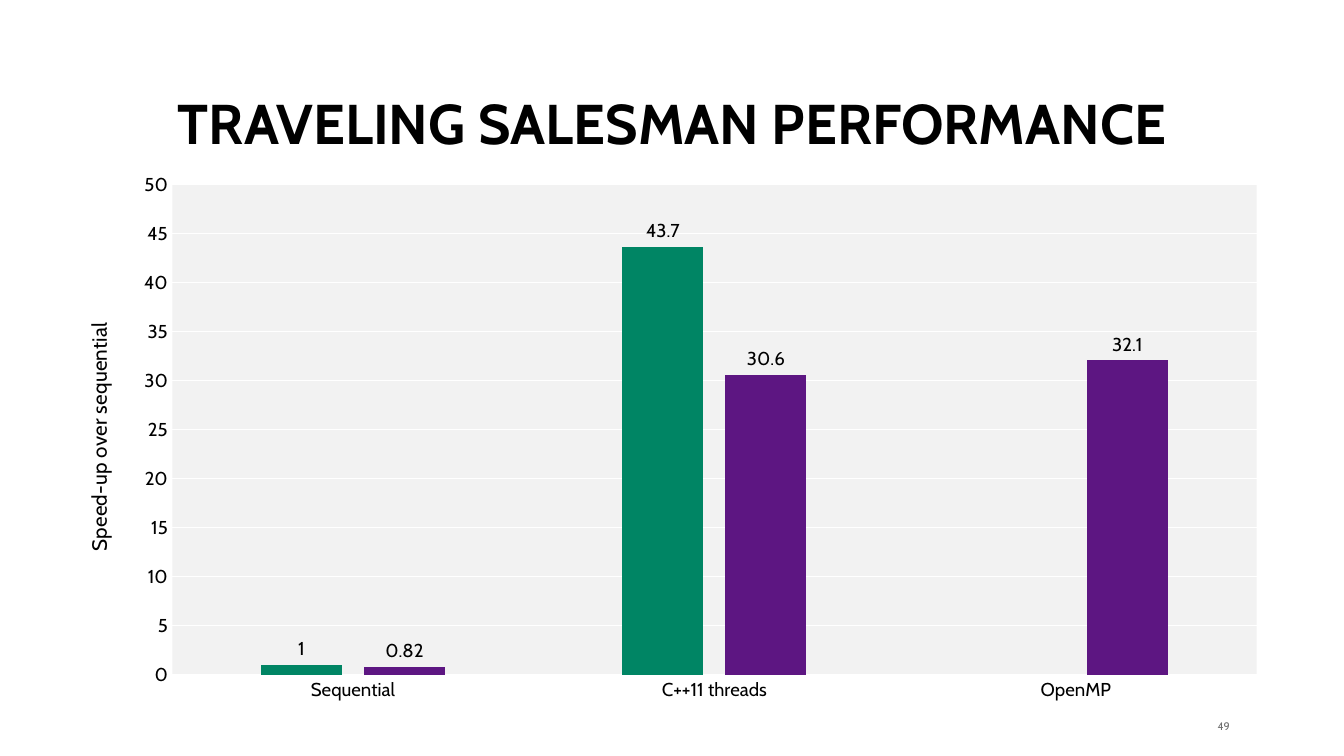
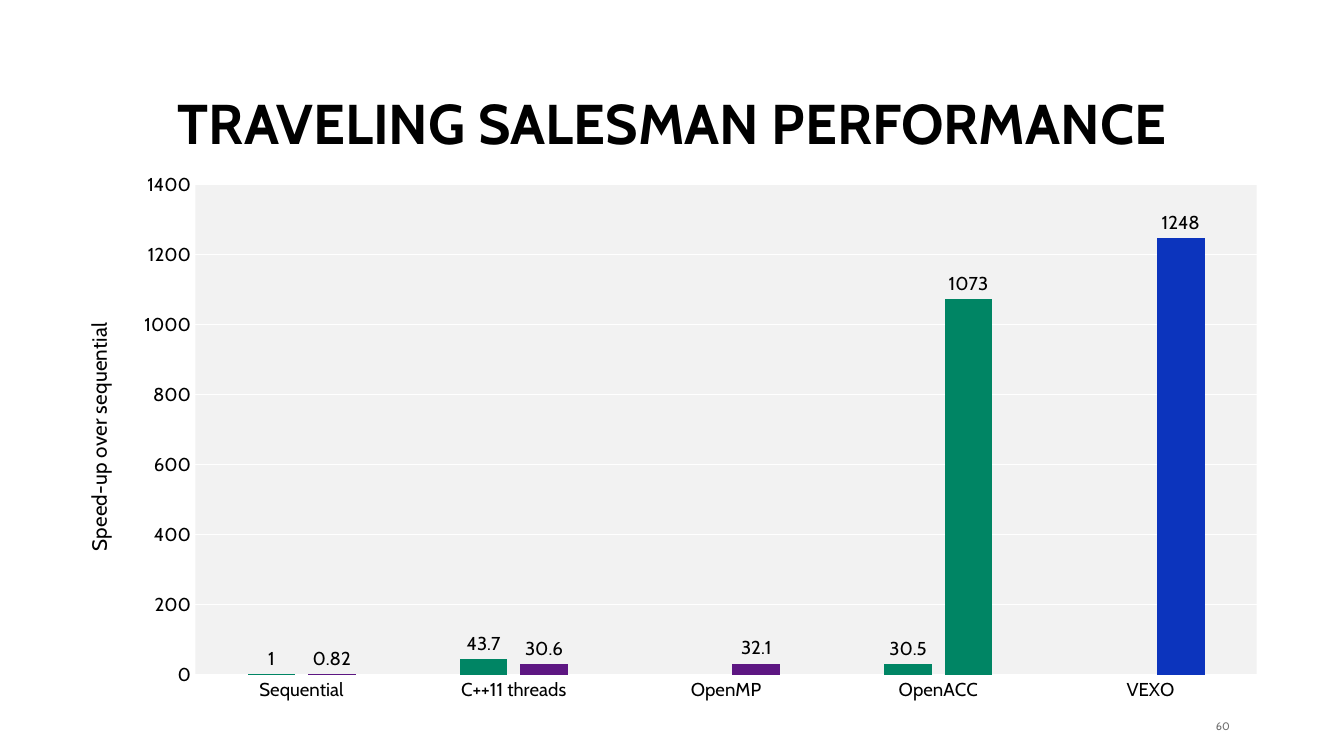
from dataclasses import dataclass, field

from lxml import etree
from pptx import Presentation
from pptx.chart.axis import ValueAxis
from pptx.chart.chart import Chart
from pptx.chart.data import CategoryChartData
from pptx.dml.color import RGBColor
from pptx.enum.chart import XL_CHART_TYPE, XL_LABEL_POSITION, XL_TICK_MARK
from pptx.enum.text import MSO_ANCHOR, MSO_AUTO_SIZE, PP_ALIGN
from pptx.oxml.ns import qn
from pptx.slide import Slide
from pptx.text.text import Font
from pptx.util import Inches, Pt

CLUSTERED = XL_CHART_TYPE.COLUMN_CLUSTERED
OUTSIDE_END = XL_LABEL_POSITION.OUTSIDE_END
NO_TICK = XL_TICK_MARK.NONE
BOTTOM, MIDDLE = MSO_ANCHOR.BOTTOM, MSO_ANCHOR.MIDDLE
NO_FIT = MSO_AUTO_SIZE.NONE
CENTER, RIGHT = PP_ALIGN.CENTER, PP_ALIGN.RIGHT

COLUMN = ROW = Inches(1)
COLUMNS, ROWS = 12, 6.75
TITLE_ONLY = 5
FONT = "Cabin"
TITLE = "TRAVELING SALESMAN PERFORMANCE"
AXIS_TITLE = "Speed-up over sequential"
COLORS = {
    "ink": "000000",
    "paper": "FFFFFF",
    "plot": "F2F2F2",
    "number": "6E6E6E",
    "green": "008564",
    "purple": "5D1682",
    "blue": "0C34BD",
}


@dataclass(frozen=True)
class Area:
    column: float
    row: float
    columns: float
    rows: float

    def lengths(self) -> tuple[int, int, int, int]:
        return (int(self.column * COLUMN), int(self.row * ROW),
                int(self.columns * COLUMN), int(self.rows * ROW))


@dataclass(frozen=True)
class BarSeries:
    name: str
    values: tuple[float | None, ...]
    color: str
    point_colors: dict[int, str] = field(default_factory=dict)


@dataclass(frozen=True)
class Performance:
    number: int
    categories: tuple[str, ...]
    series: tuple[BarSeries, ...]
    axis_maximum: int
    axis_step: int
    plot_left: float


TITLE_AREA = Area(0.55, 0.8, 10.9, 0.65)
CHART_AREA = Area(0.57, 1.45, 10.88, 4.91)
NUMBER_AREA = Area(10.66, 6.41, 0.32, 0.15)
PLOT_TOP, PLOT_RIGHT, PLOT_HEIGHT = 4.1, 97.9, 89.1
AXIS_TITLE_LEFT, AXIS_TITLE_TOP = 1.4, 28.5

PERFORMANCES = (
    Performance(
        49,
        ("Sequential", "C++11 threads", "OpenMP"),
        (BarSeries("Series 1", (1, 43.7, None), "green"),
         BarSeries("Series 2", (0.82, 30.6, 32.1), "purple")),
        50, 5, 8.9,
    ),
    Performance(
        60,
        ("Sequential", "C++11 threads", "OpenMP", "OpenACC", "VEXO"),
        (BarSeries("Series 1", (1, 43.7, None, 30.5, None), "green"),
         BarSeries("Series 2", (0.82, 30.6, 32.1, 1073, 1248), "purple",
                   {3: "green", 4: "blue"})),
        1400, 200, 10.8,
    ),
)


def rgb(name: str) -> RGBColor:
    return RGBColor.from_string(COLORS[name])


def style_font(font: Font, size: float, color: str = "ink", bold: bool = False) -> None:
    font.name = FONT
    font.size = Pt(size)
    font.bold = bold
    font.color.rgb = rgb(color)


def set_layout(parent: etree._Element, index: int, settings: dict[str, str | float]) -> None:
    for old in parent.findall(qn("c:layout")):
        parent.remove(old)
    layout = etree.Element(qn("c:layout"))
    manual = etree.SubElement(layout, qn("c:manualLayout"))
    for tag, value in settings.items():
        text = value if isinstance(value, str) else f"{value / 100:.3f}"
        etree.SubElement(manual, qn(f"c:{tag}")).set("val", text)
    parent.insert(index, layout)


def add_title(slide: Slide) -> None:
    title = slide.shapes.title
    title.left, title.top, title.width, title.height = TITLE_AREA.lengths()
    frame = title.text_frame
    frame.text = TITLE
    frame.auto_size = NO_FIT
    frame.vertical_anchor = BOTTOM
    para = frame.paragraphs[0]
    para.alignment = CENTER
    para.line_spacing = 0.9
    style_font(para.runs[0].font, 36, bold=True)


def add_number(slide: Slide, number: int) -> None:
    frame = slide.shapes.add_textbox(*NUMBER_AREA.lengths()).text_frame
    frame.margin_left = frame.margin_right = frame.margin_top = frame.margin_bottom = 0
    frame.word_wrap = True
    frame.vertical_anchor = MIDDLE
    frame.text = str(number)
    para = frame.paragraphs[0]
    para.alignment = RIGHT
    style_font(para.runs[0].font, 7, "number")


def style_plot_area(chart: Chart, left: float) -> None:
    plot_area = chart._chartSpace.chart.plotArea
    set_layout(plot_area, 0, {
        "layoutTarget": "inner", "xMode": "edge", "yMode": "edge",
        "x": left, "y": PLOT_TOP, "w": PLOT_RIGHT - left, "h": PLOT_HEIGHT,
    })
    properties = etree.SubElement(plot_area, qn("c:spPr"))
    fill = etree.SubElement(properties, qn("a:solidFill"))
    etree.SubElement(fill, qn("a:srgbClr")).set("val", COLORS["plot"])


def add_axis_title(axis: ValueAxis) -> None:
    frame = axis.axis_title.text_frame
    frame.text = AXIS_TITLE
    style_font(frame.paragraphs[0].runs[0].font, 13.3)
    body = frame._txBody.find(qn("a:bodyPr"))
    body.set("rot", "-5400000")
    body.set("vert", "horz")
    set_layout(axis.axis_title._element, 1, {
        "xMode": "edge", "yMode": "edge", "x": AXIS_TITLE_LEFT, "y": AXIS_TITLE_TOP,
    })


def style_axes(chart: Chart, performance: Performance) -> None:
    for axis in (chart.category_axis, chart.value_axis):
        axis.major_tick_mark = axis.minor_tick_mark = NO_TICK
        style_font(axis.tick_labels.font, 12)
    category_line = chart.category_axis.format.line
    value_axis = chart.value_axis
    value_axis.has_major_gridlines = True
    for line in (category_line, value_axis.major_gridlines.format.line):
        line.color.rgb = rgb("paper")
        line.width = Pt(0.75)
    value_axis.format.line.fill.background()
    value_axis.minimum_scale = 0
    value_axis.maximum_scale = performance.axis_maximum
    value_axis.major_unit = performance.axis_step
    add_axis_title(value_axis)


def add_performance_chart(slide: Slide, performance: Performance) -> None:
    data = CategoryChartData()
    data.categories = performance.categories
    for bars in performance.series:
        data.add_series(bars.name, bars.values)
    chart = slide.shapes.add_chart(CLUSTERED, *CHART_AREA.lengths(), data).chart
    chart.has_title = chart.has_legend = False
    style_font(chart.font, 10, "paper")
    plot = chart.plots[0]
    plot.gap_width, plot.overlap = 219, -27
    plot.vary_by_categories = False
    for series, bars in zip(plot.series, performance.series):
        series.format.fill.solid()
        series.format.fill.fore_color.rgb = rgb(bars.color)
        series.invert_if_negative = False
        for index, color in bars.point_colors.items():
            fill = series.points[index].format.fill
            fill.solid()
            fill.fore_color.rgb = rgb(color)
        labels = series.data_labels
        labels.show_value = True
        labels.position = OUTSIDE_END
        style_font(labels.font, 12)
    style_axes(chart, performance)
    style_plot_area(chart, performance.plot_left)


def main() -> None:
    deck = Presentation()
    deck.slide_width = int(COLUMNS * COLUMN)
    deck.slide_height = int(ROWS * ROW)
    for performance in PERFORMANCES:
        slide = deck.slides.add_slide(deck.slide_layouts[TITLE_ONLY])
        add_number(slide, performance.number)
        add_title(slide)
        add_performance_chart(slide, performance)
    deck.save("out.pptx")


if __name__ == "__main__":
    main()
